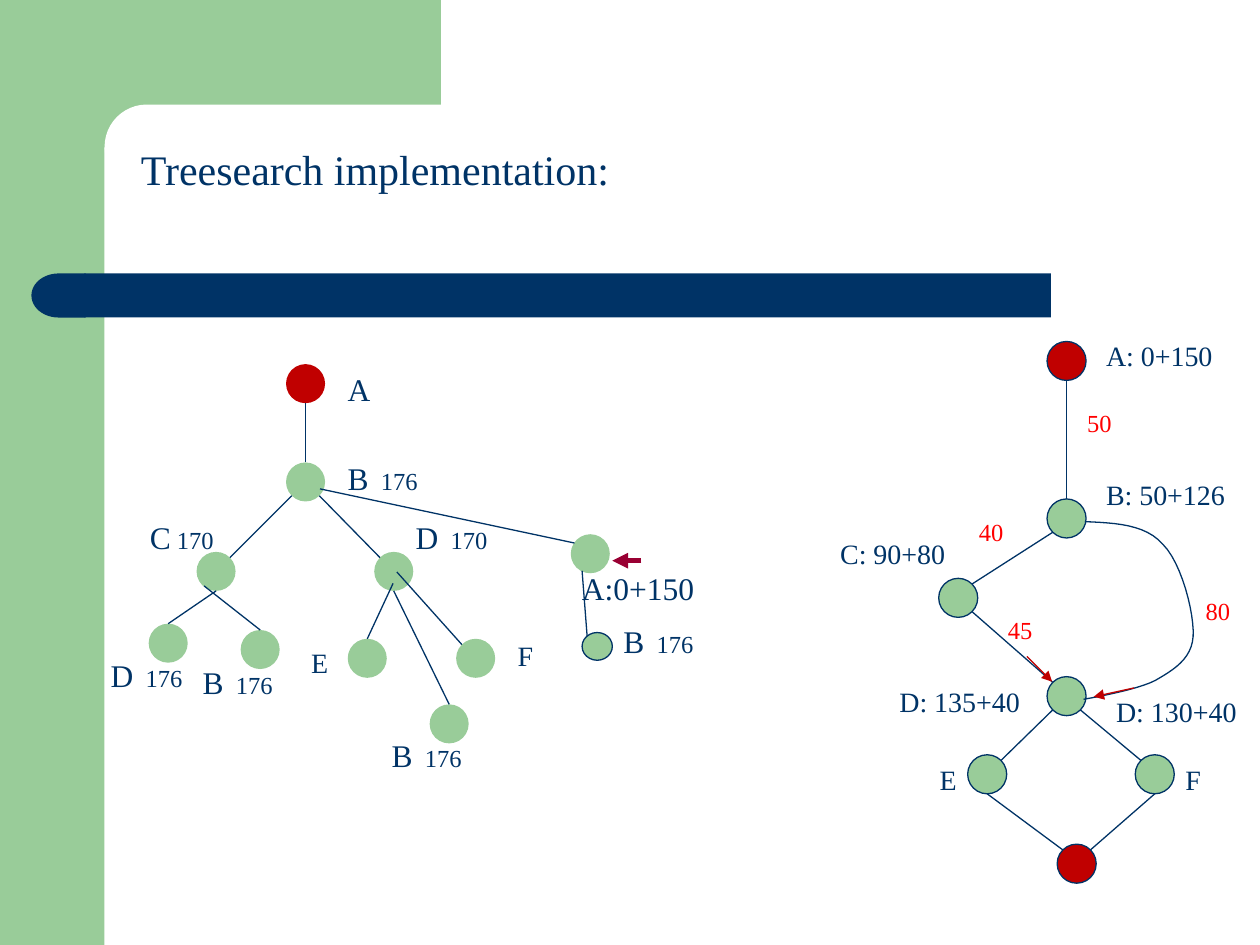
from dataclasses import dataclass
from math import cos, radians, sin

from lxml.etree import SubElement
from pptx import Presentation
from pptx.dml.color import RGBColor
from pptx.enum.shapes import MSO_CONNECTOR, MSO_SHAPE
from pptx.oxml.ns import qn
from pptx.util import Inches, Pt

NAVY, GREEN, RED = "003366", "99CC99", "C00000"
BRIGHT_RED, MAROON = "FF0000", "990033"
FONT = "Times New Roman"
DIAMETER = 0.31
ANGLES = {"right": 0, "bottom right": 45, "bottom": 90, "bottom left": 135,
          "left": 180, "top left": 225, "top": 270, "top right": 315}


@dataclass
class Node:
    x: float
    y: float
    fill: str = GREEN
    outlined: bool = False
    w: float = DIAMETER
    h: float = DIAMETER

    def at(self, side: str) -> tuple[float, float]:
        """Point on the rim at the named side."""
        a = radians(ANGLES[side])
        return (self.x + self.w / 2 * (1 + cos(a)),
                self.y + self.h / 2 * (1 + sin(a)))


@dataclass
class Label:
    x: float
    y: float
    w: float
    text: str
    cost: str = ""
    size: int = 18
    color: str = NAVY


@dataclass
class Line:
    start: tuple[float, float]
    end: tuple[float, float]
    color: str = NAVY
    width: float = 0.75
    arrow: bool = False


def rgb(value: str) -> RGBColor:
    return RGBColor.from_string(value)


def add_block(s, kind, x: float, y: float, w: float, h: float, fill: str):
    sp = s.shapes.add_shape(kind, Inches(x), Inches(y), Inches(w), Inches(h))
    sp.shadow.inherit = False
    sp.fill.solid()
    sp.fill.fore_color.rgb = rgb(fill)
    sp.line.fill.background()
    return sp


def add_node(s, node: Node) -> None:
    sp = add_block(s, MSO_SHAPE.OVAL, node.x, node.y, node.w, node.h, node.fill)
    if node.outlined:
        sp.line.color.rgb = rgb(NAVY)
        sp.line.width = Pt(0.75)


def add_label(s, label: Label) -> None:
    height = 0.1 + label.size / 60
    sp = s.shapes.add_textbox(Inches(label.x), Inches(label.y),
                              Inches(label.w), Inches(height))
    tf = sp.text_frame
    tf.word_wrap = True
    p = tf.paragraphs[0]
    p.font.name = FONT
    p.font.size = Pt(label.size)
    p.font.color.rgb = rgb(label.color)
    p.add_run().text = label.text
    if label.cost:
        r = p.add_run()
        r.text = label.cost
        r.font.size = Pt(14)


def add_line(s, line: Line) -> None:
    points = [Inches(v) for v in (*line.start, *line.end)]
    cxn = s.shapes.add_connector(MSO_CONNECTOR.STRAIGHT, *points)
    cxn.line.color.rgb = rgb(line.color)
    cxn.line.width = Pt(line.width)
    if line.arrow:
        SubElement(cxn.line._get_or_add_ln(), qn("a:tailEnd"), type="triangle")
    SubElement(cxn._element.spPr, qn("a:effectLst"))


def add_curve(s, start: tuple, segments: list[tuple], steps: int = 12) -> None:
    """Draw cubic segments (two controls and an end each) as one open outline."""
    points, p0 = [], start
    for p1, p2, p3 in segments:
        for t in (i / steps for i in range(1, steps + 1)):
            u = 1 - t
            points.append(tuple(
                Inches(u**3 * a + 3 * u * u * t * b + 3 * u * t * t * c + t**3 * d)
                for a, b, c, d in zip(p0, p1, p2, p3)))
        p0 = p3
    builder = s.shapes.build_freeform(Inches(start[0]), Inches(start[1]))
    builder.add_line_segments(points, close=False)
    sp = builder.convert_to_shape()
    sp.shadow.inherit = False
    sp.fill.background()
    sp.line.color.rgb = rgb(NAVY)
    sp.line.width = Pt(0.75)


def add_background(s) -> None:
    add_block(s, MSO_SHAPE.RECTANGLE, 0, 0, 0.83, 7.5, GREEN)
    add_block(s, MSO_SHAPE.RECTANGLE, 0.75, 0, 2.75, 1.17, GREEN)
    panel = add_block(s, MSO_SHAPE.ROUNDED_RECTANGLE, 0.83, 0.83, 5.58, 0.67, "FFFFFF")
    panel.adjustments[0] = 0.5
    add_block(s, MSO_SHAPE.RECTANGLE, 0.67, 2.17, 7.67, 0.35, NAVY)
    cap = add_block(s, MSO_SHAPE.FLOWCHART_DELAY, 0.25, 2.17, 0.43, 0.35, NAVY)
    cap._element.spPr.xfrm.set("flipH", "1")


def add_tree(s) -> None:
    a, b = Node(2.27, 2.89, RED), Node(2.27, 3.67)
    c, d, a2 = Node(1.56, 4.38), Node(2.97, 4.38), Node(4.53, 4.24)
    c_d, c_b = Node(1.18, 4.95), Node(1.91, 5)
    e, f, d_b = Node(2.76, 5.07), Node(3.62, 5.07), Node(3.41, 5.59)
    a_b = Node(4.62, 5.02, outlined=True, w=0.24, h=0.22)
    for node in (a, b, c, d, a2, c_d, c_b, e, f, d_b, a_b):
        add_node(s, node)
    for line in (
        Line(a.at("bottom"), b.at("top")),
        Line(b.at("bottom left"), c.at("top right")),
        Line(b.at("bottom right"), d.at("top left")),
        Line((2.54, 3.88), (4.56, 4.31)),
        Line(c.at("bottom"), c_d.at("top")),
        Line((1.62, 4.65), c_b.at("top")),
        Line((3.12, 4.63), e.at("top")),
        Line((3.15, 4.54), f.at("top left")),
        Line(d.at("bottom"), d_b.at("top")),
        Line((4.62, 4.53), (4.66, 5.05)),
        Line((5.09, 4.45), (4.86, 4.45), MAROON, 3, True),
    ):
        add_line(s, line)
    for label in (
        Label(2.66, 2.89, 0.39, "A"),
        Label(2.66, 3.59, 1.02, "B", "  176"),
        Label(1.09, 4.06, 0.78, "C", " 170"),
        Label(3.2, 4.06, 0.78, "D", "  170"),
        Label(0.78, 5.16, 0.78, "D", "  176"),
        Label(1.51, 5.21, 0.78, "B", "  176"),
        Label(3.01, 5.79, 0.78, "B", "  176"),
        Label(4.85, 4.89, 0.9, "B", "  176"),
        Label(4.52, 4.47, 1.32, "A:0+150"),
        Label(2.37, 5.07, 0.39, "E", size=16),
        Label(4.01, 5.02, 0.47, "F", size=16),
    ):
        add_label(s, label)


def add_graph(s) -> None:
    a, goal = Node(8.31, 2.71, RED, True), Node(8.39, 6.7, RED, True)
    b, c, d, e, f = (Node(x, y, outlined=True) for x, y in (
        (8.31, 3.96), (7.45, 4.59), (8.31, 5.37), (7.68, 5.99), (9.01, 5.99)))
    for node in (a, b, c, d, e, f, goal):
        add_node(s, node)
    for start, end in (
        (a.at("bottom"), b.at("top")),
        (b.at("bottom left"), c.at("top right")),
        (c.at("bottom right"), d.at("top left")),
        (d.at("bottom left"), e.at("top right")),
        (d.at("bottom right"), f.at("top left")),
        (e.at("bottom"), goal.at("top left")),
        (f.at("bottom"), goal.at("top right")),
    ):
        add_line(s, Line(start, end))
    add_curve(s, (8.61, 4.14), [
        ((8.85, 4.15), (9.09, 4.16), (9.23, 4.32)),
        ((9.38, 4.47), (9.48, 4.87), (9.47, 5.05)),
        ((9.46, 5.23), (9.31, 5.32), (9.17, 5.4)),
        ((9.02, 5.48), (8.6, 5.55), (8.6, 5.55)),
    ])
    add_line(s, Line((9, 5.46), (8.68, 5.53), RED, arrow=True))
    add_line(s, Line((8.15, 5.21), (8.35, 5.41), RED, arrow=True))
    # State costs
    for x, y, w, text in (
        (8.68, 2.64, 1.17, "A: 0+150"), (8.68, 3.74, 1.17, "B: 50+126"),
        (6.57, 4.21, 1.17, "C: 90+80"), (7.04, 5.38, 1.17, "D: 135+40"),
        (8.76, 5.46, 1.17, "D: 130+40"), (7.36, 6, 0.39, "E"), (9.31, 6, 0.47, "F"),
    ):
        add_label(s, Label(x, y, w, text, size=16))
    # Step costs
    for x, y, text in ((8.53, 3.19, "50"), (7.67, 4.05, "40"),
                       (9.47, 4.68, "80"), (7.9, 4.83, "45")):
        add_label(s, Label(x, y, 0.47, text, size=14, color=BRIGHT_RED))


def main() -> None:
    prs = Presentation()
    prs.slide_width, prs.slide_height = Inches(10), Inches(7.5)
    s = prs.slides.add_slide(prs.slide_layouts[6])
    add_background(s)
    add_label(s, Label(1.02, 1.09, 8.05, "Treesearch implementation:", size=24))
    add_tree(s)
    add_graph(s)
    prs.save("out.pptx")


if __name__ == "__main__":
    main()
